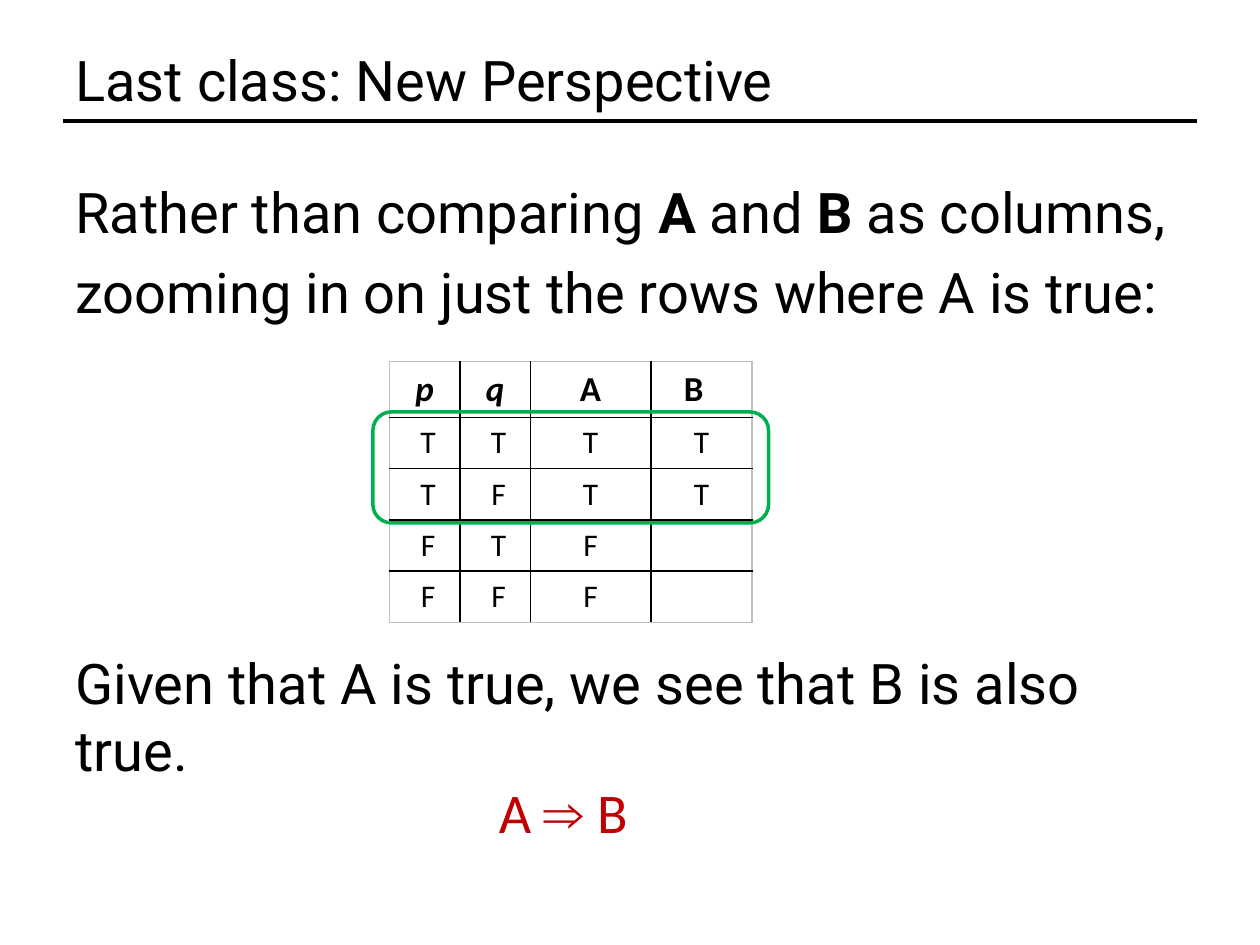
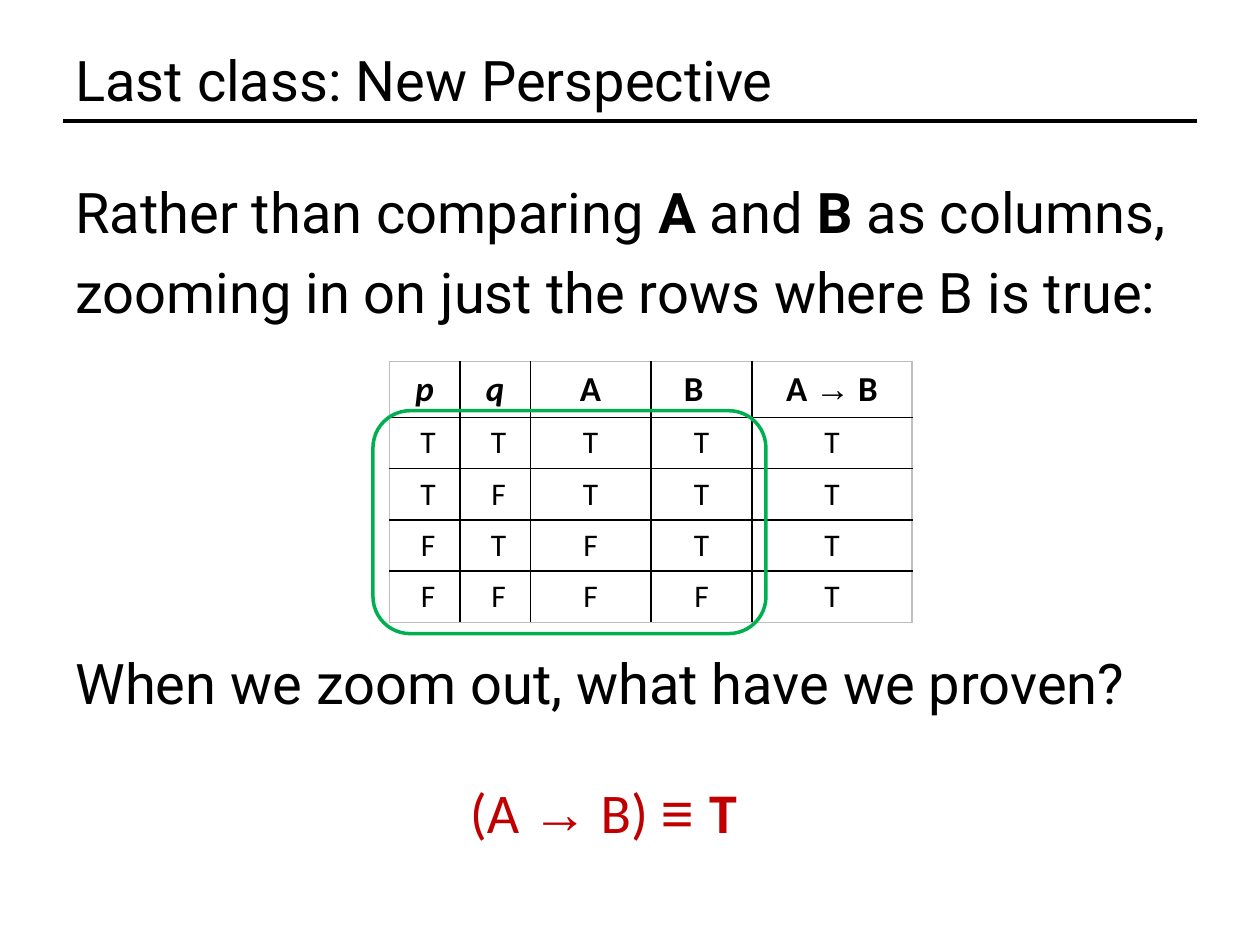
from dataclasses import dataclass
from typing import NamedTuple

from lxml.etree import SubElement
from pptx import Presentation
from pptx.dml.color import RGBColor
from pptx.enum.shapes import MSO_CONNECTOR, MSO_SHAPE
from pptx.enum.text import MSO_ANCHOR, MSO_AUTO_SIZE, PP_ALIGN
from pptx.oxml.ns import qn
from pptx.util import Pt


@dataclass(frozen=True)
class Theme:
    """Colours, fonts and type sizes shared by the slides."""

    ink: RGBColor = RGBColor(0, 0, 0)
    outline: RGBColor = RGBColor(0xBF, 0xBF, 0xBF)
    formula: RGBColor = RGBColor(0xC0, 0, 0)
    highlight: RGBColor = RGBColor(0, 0xB0, 0x50)
    prose_font: str = "Roboto"
    logic_font: str = "Calibri"
    symbol_font: str = "Arial"
    prose_size: int = 32
    header_size: int = 20
    value_size: int = 18
    rule_width: int = 2
    border_width: int = 1


class Box(NamedTuple):
    """A region in points."""

    left: float
    top: float
    width: float
    height: float

    def lengths(self):
        """Return the four measures as slide lengths."""
        return [Pt(measure) for measure in self]


THEME = Theme()
SLIDE_SIZE = (720, 540)
TITLE = Box(36, 21.3, 648, 48)
PREMISE = Box(36, 97.9, 648, 92)
CONCLUSION = Box(36, 367, 648, 86)
TABLE_CORNER = (222.5, 206.6)
COLUMN_WIDTHS = (40.3, 40.3, 68.9, 57.9, 91.2)
HEADER_HEIGHT, ROW_HEIGHT = 32, 29.3
CELL_MARGIN = 7.2
PARAGRAPH_GAP = 7.2

BOLD = {"bold": True}
SYMBOL = {"name": THEME.symbol_font}
HEADERS = (
    [("p", {"italic": True})],
    [("q", {"italic": True})],
    ["A"],
    ["B"],
    ["A ", ("→", SYMBOL), " B"],
)


def write(paragraph, segments, font, size, color, bold=False):
    """Write plain strings and (text, differences) pairs in one base font."""
    base = paragraph.font
    base.name, base.size, base.bold = font, Pt(size), bold
    base.color.rgb = color
    for segment in segments:
        text, differences = (segment, {}) if isinstance(segment, str) else segment
        run = paragraph.add_run()
        run.text = text
        for attribute, value in differences.items():
            setattr(run.font, attribute, value)


def add_text(slide, box, paragraphs, font=THEME.prose_font, color=THEME.ink,
             anchor=MSO_ANCHOR.TOP, wrap=True):
    """Place paragraphs of segments in a box, which fits its text if unwrapped."""
    frame = slide.shapes.add_textbox(*box.lengths()).text_frame
    frame.word_wrap, frame.vertical_anchor = wrap, anchor
    frame.auto_size = MSO_AUTO_SIZE.NONE if wrap else MSO_AUTO_SIZE.SHAPE_TO_FIT_TEXT
    for index, segments in enumerate(paragraphs):
        paragraph = frame.add_paragraph() if index else frame.paragraphs[0]
        if index:
            paragraph.space_before = Pt(PARAGRAPH_GAP)
        write(paragraph, segments, font, THEME.prose_size, color)


def add_heading(slide, box, heading):
    """Place the title with the rule along the bottom of its box."""
    add_text(slide, box, [[heading]], anchor=MSO_ANCHOR.MIDDLE)
    bottom = Pt(box.top + box.height)
    rule = slide.shapes.add_connector(
        MSO_CONNECTOR.STRAIGHT, Pt(box.left), bottom, Pt(box.left + box.width), bottom)
    rule.line.color.rgb = THEME.ink
    rule.line.width = Pt(THEME.rule_width)
    SubElement(rule._element.spPr, qn("a:effectLst"))


def set_borders(cell, at_edge):
    """Draw the borders: light on the table's edge, dark inside."""
    properties = cell._tc.get_or_add_tcPr()
    for side in "LRTB":
        border = SubElement(properties, qn(f"a:ln{side}"), w=str(Pt(THEME.border_width)))
        color = THEME.outline if at_edge[side] else THEME.ink
        SubElement(SubElement(border, qn("a:solidFill")), qn("a:srgbClr"), val=str(color))


def add_truth_table(slide, corner, truth_rows):
    """Place a truth table whose rows are strings of T, F or blank."""
    row_count, column_count = len(truth_rows) + 1, len(truth_rows[0])
    widths = COLUMN_WIDTHS[:column_count]
    box = Box(*corner, sum(widths), HEADER_HEIGHT + ROW_HEIGHT * len(truth_rows))
    table = slide.shapes.add_table(row_count, column_count, *box.lengths()).table
    table.first_row = table.horz_banding = False
    for column, width in zip(table.columns, widths):
        column.width = Pt(width)
    for r, row in enumerate(table.rows):
        row.height = Pt(ROW_HEIGHT if r else HEADER_HEIGHT)
        for c, cell in enumerate(row.cells):
            set_borders(cell, {"L": c == 0, "R": c == column_count - 1,
                               "T": r == 0, "B": r == row_count - 1})
            cell.fill.background()
            paragraph = cell.text_frame.paragraphs[0]
            paragraph.alignment = PP_ALIGN.CENTER
            if r == 0:
                write(paragraph, HEADERS[c], THEME.logic_font, THEME.header_size,
                      THEME.ink, bold=True)
                if HEADERS[c] == ["B"]:
                    cell.margin_right = Pt(CELL_MARGIN + 9)
            else:
                write(paragraph, truth_rows[r - 1][c].strip(), THEME.logic_font,
                      THEME.value_size, THEME.ink)
                if c < 2:
                    cell.margin_left = Pt(CELL_MARGIN + 4)


def add_highlight(slide, box):
    """Frame the rows in focus."""
    focus = slide.shapes.add_shape(MSO_SHAPE.ROUNDED_RECTANGLE, *box.lengths())
    focus.shadow.inherit = False
    focus.fill.background()
    focus.line.color.rgb = THEME.highlight
    focus.line.width = Pt(THEME.rule_width)


def add_perspective_slide(deck, given, truth_rows, focus_box, conclusion,
                          formula_box, formula):
    """Build a slide that reasons from a truth table to a formula."""
    slide = deck.slides.add_slide(deck.slide_layouts[6])
    add_heading(slide, TITLE, "Last class: New Perspective")
    add_text(slide, PREMISE, [
        ["Rather than comparing ", ("A", BOLD), " and ", ("B", BOLD), " as columns,"],
        [f"zooming in on just the rows where {given} is true:"],
    ])
    add_text(slide, CONCLUSION, [[conclusion]])
    add_truth_table(slide, TABLE_CORNER, truth_rows)
    add_highlight(slide, focus_box)
    add_text(slide, formula_box, [formula], THEME.logic_font, THEME.formula, wrap=False)


def main():
    """Build and save the deck."""
    deck = Presentation()
    deck.slide_width, deck.slide_height = (Pt(side) for side in SLIDE_SIZE)
    add_perspective_slide(
        deck, "A", ["TTTT", "TFTT", "FTF ", "FFF "], Box(213.1, 235.4, 226.1, 63.4),
        "Given that A is true, we see that B is also true.",
        Box(278, 440.6, 94, 46), ["A ", ("⇒", SYMBOL), " B"])
    add_perspective_slide(
        deck, "B", ["TTTTT", "TFTTT", "FTFTT", "FFFFT"], Box(213.1, 234.7, 224.6, 127.4),
        "When we zoom out, what have we proven?",
        Box(261.4, 440.6, 168, 46),
        ["(A ", ("→", SYMBOL), " B) ", ("≡ ", SYMBOL), ("T", BOLD)])
    deck.save("out.pptx")


if __name__ == "__main__":
    main()
